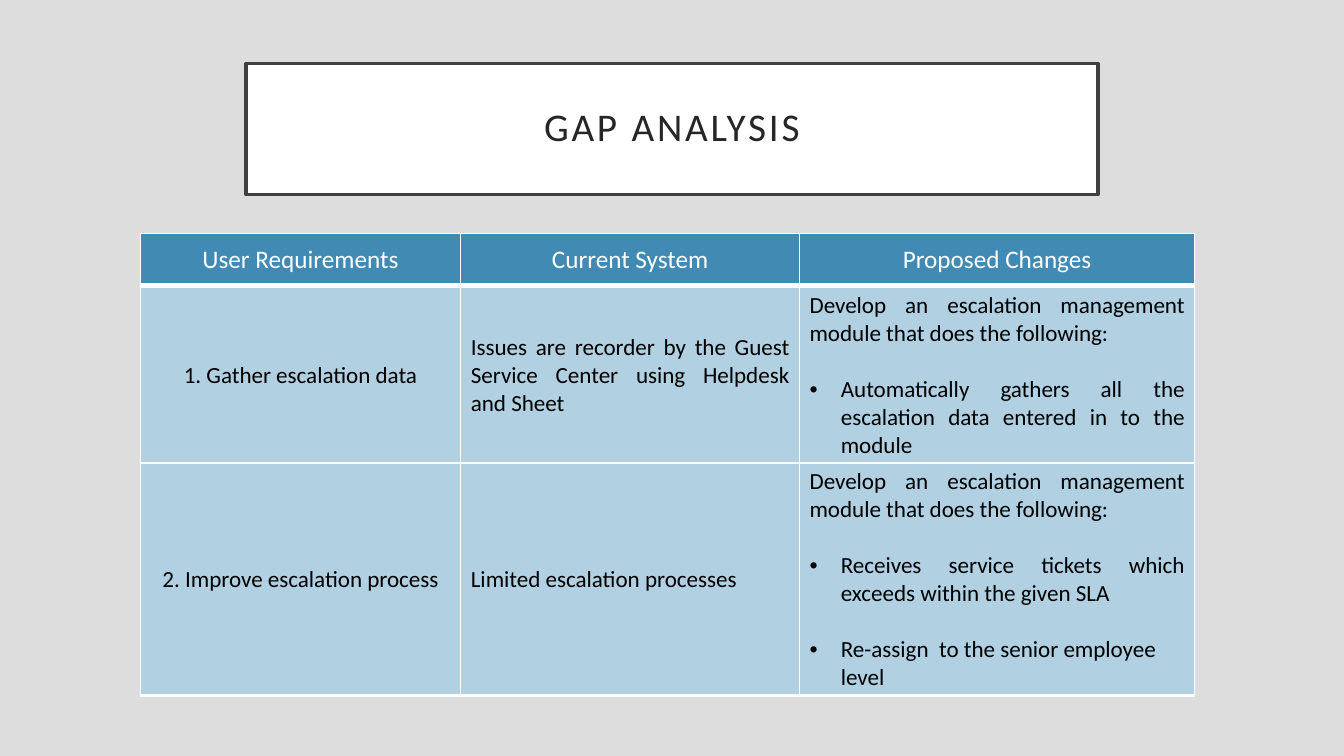
from dataclasses import dataclass

import pptx
import pptx.dml.color
import pptx.enum.text
import pptx.oxml
import pptx.oxml.ns
import pptx.util
from lxml import etree

Inches = pptx.util.Inches
Pt = pptx.util.Pt
ALIGN = pptx.enum.text.PP_ALIGN
MIDDLE = pptx.enum.text.MSO_ANCHOR.MIDDLE

SLIDE_WIDTH, SLIDE_HEIGHT = 13.33, 7.5
FONT = "Calibri"
TABLE_LEFT = 1.39
COLUMN_WIDTHS = (3.18, 3.36, 3.92)
BORDERS = {"lnL": 1, "lnR": 1, "lnT": 1, "lnB": 3}
BULLET_INDENT = 0.31
BULLET_GAP = 20


@dataclass
class Paragraph:
    """One paragraph of a table cell."""
    text: str
    align: ALIGN | None = ALIGN.JUSTIFY
    bullet: bool = False


@dataclass
class Band:
    """One single-row table of the stacked gap analysis."""
    top: float
    height: float
    fill: str
    color: str
    size: float
    cells: list[list[Paragraph]]


def centred(text: str) -> list[Paragraph]:
    """Return cell content made of one centred paragraph."""
    return [Paragraph(text, ALIGN.CENTER)]


def rgb(color: str) -> pptx.dml.color.RGBColor:
    """Turn a hex string into a colour."""
    return pptx.dml.color.RGBColor.from_string(color)


def paint(fill, color: str) -> None:
    """Make a fill solid in the given colour."""
    fill.solid()
    fill.fore_color.rgb = rgb(color)


def format_runs(paragraph, size: float, color: str) -> None:
    """Give every run of a paragraph its font."""
    for run in paragraph.runs:
        run.font.name = FONT
        run.font.size = Pt(size)
        run.font.bold = False
        run.font.color.rgb = rgb(color)


def add_bullet(paragraph) -> None:
    """Add a hanging bullet and the gap above it."""
    paragraph.space_before = Pt(BULLET_GAP)
    properties = paragraph._p.get_or_add_pPr()
    properties.set("marL", str(Inches(BULLET_INDENT)))
    properties.set("indent", str(-Inches(BULLET_INDENT)))
    font = etree.SubElement(properties, pptx.oxml.ns.qn("a:buFont"))
    font.set("typeface", "Arial")
    character = etree.SubElement(properties, pptx.oxml.ns.qn("a:buChar"))
    character.set("char", "•")


def add_borders(cell) -> None:
    """Draw the white borders around a cell."""
    properties = cell._tc.get_or_add_tcPr()
    for position, (side, width) in enumerate(BORDERS.items()):
        properties.insert(position, pptx.oxml.parse_xml(
            f'<a:{side} {pptx.oxml.ns.nsdecls("a")} w="{Pt(width)}"><a:solidFill>'
            f'<a:srgbClr val="FFFFFF"/></a:solidFill></a:{side}>'))


def fill_cell(cell, content: list[Paragraph], band: Band) -> None:
    """Write and format one table cell."""
    paint(cell.fill, band.fill)
    add_borders(cell)
    cell.vertical_anchor = MIDDLE
    cell.margin_left = cell.margin_right = Inches(0.1)
    cell.margin_top = cell.margin_bottom = Inches(0.03)
    cell.text_frame.text = "\n".join(item.text for item in content)
    for paragraph, item in zip(cell.text_frame.paragraphs, content):
        paragraph.alignment = item.align
        if item.bullet:
            add_bullet(paragraph)
        format_runs(paragraph, band.size, band.color)


def add_band(slide, band: Band) -> None:
    """Add one single-row table."""
    table = slide.shapes.add_table(
        1, len(COLUMN_WIDTHS), Inches(TABLE_LEFT), Inches(band.top),
        Inches(sum(COLUMN_WIDTHS)), Inches(band.height)).table
    table.first_row = table.horz_banding = False
    for column, width in zip(table.columns, COLUMN_WIDTHS):
        column.width = Inches(width)
    for cell, content in zip(table.rows[0].cells, band.cells):
        fill_cell(cell, content, band)


def add_title(slide, text: str) -> None:
    """Place the framed title."""
    title = slide.shapes.title
    title.left, title.top = Inches(2.44), Inches(0.63)
    title.width, title.height = Inches(8.45), Inches(1.3)
    paint(title.fill, "FFFFFF")
    title.line.color.rgb = rgb("404040")
    title.line.width = Pt(2.5)
    frame = title.text_frame
    frame.text = text
    frame.word_wrap = True
    frame.vertical_anchor = MIDDLE
    frame.margin_left = frame.margin_right = Inches(0.2)
    frame.margin_top = frame.margin_bottom = Inches(0.2)
    paragraph = frame.paragraphs[0]
    paragraph.alignment = ALIGN.CENTER
    paragraph.line_spacing = 0.9
    format_runs(paragraph, 28, "262626")
    paragraph.runs[0].font._element.set("spc", "200")


BODY = {"fill": "B1D1E3", "color": "000000", "size": 16.5}
MODULE = Paragraph("Develop an escalation management module that does the following:")
BANDS = [
    Band(2.32, 0.51, "418AB3", "FFFFFF", 18, [
        centred("User Requirements"),
        centred("Current System"),
        centred("Proposed Changes")]),
    Band(2.85, 1.75, **BODY, cells=[
        centred("1. Gather escalation data"),
        [Paragraph("Issues are recorder by the Guest Service Center using "
                   "Helpdesk and Sheet")],
        [MODULE,
         Paragraph("Automatically gathers all the escalation data entered in "
                   "to the module", bullet=True)]]),
    Band(4.6, 2.3, **BODY, cells=[
        centred("2. Improve escalation process"),
        [Paragraph("Limited escalation processes")],
        [MODULE,
         Paragraph("Receives service tickets which exceeds within the given SLA",
                   bullet=True),
         Paragraph("Re-assign  to the senior employee level", None, True)]]),
]

presentation = pptx.Presentation()
presentation.slide_width = Inches(SLIDE_WIDTH)
presentation.slide_height = Inches(SLIDE_HEIGHT)
slide = presentation.slides.add_slide(presentation.slide_layouts.get_by_name("Title Only"))
paint(slide.background.fill, "DDDDDD")
add_title(slide, "GAP ANALYSIS")
for band in BANDS:
    add_band(slide, band)
presentation.save("out.pptx")
